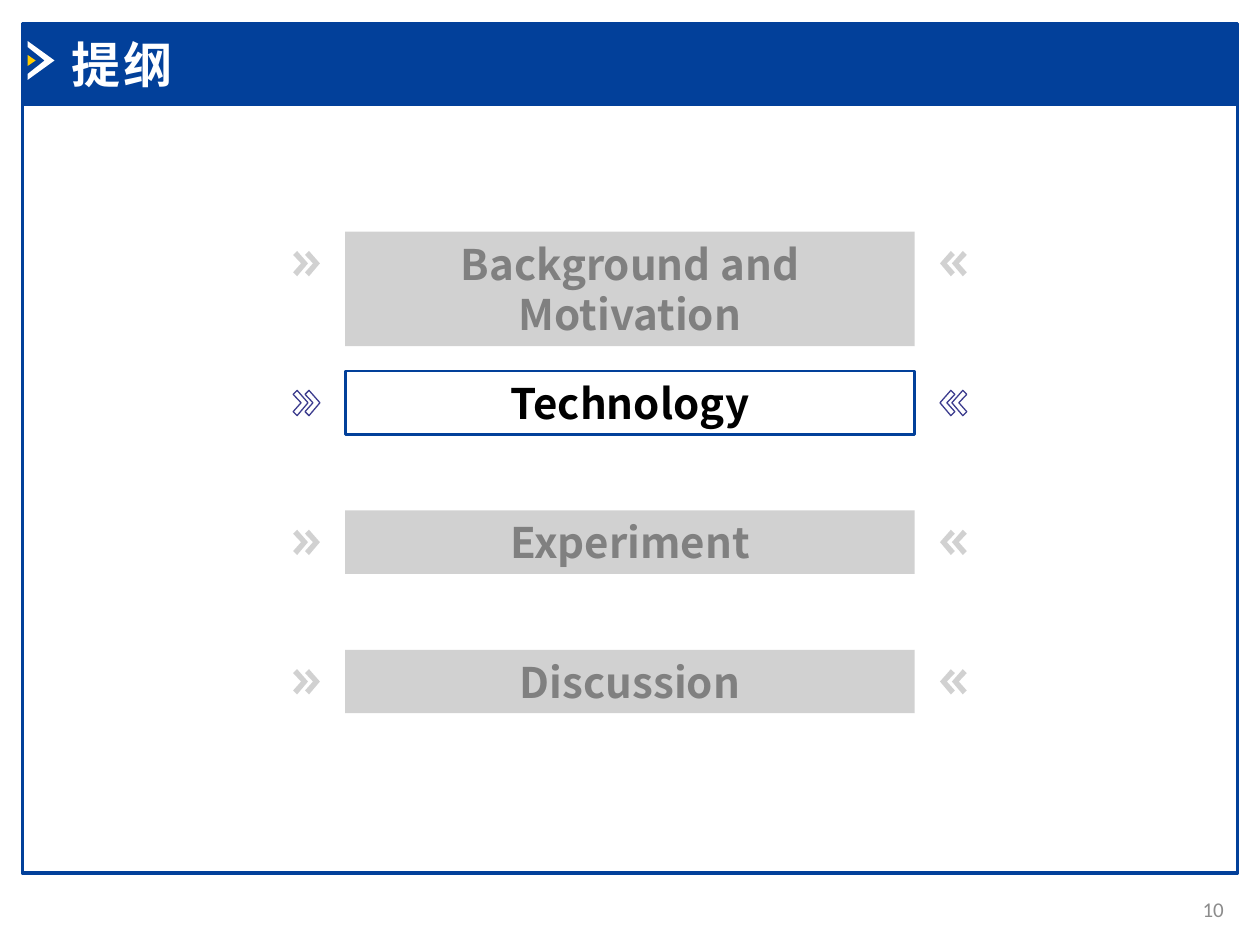
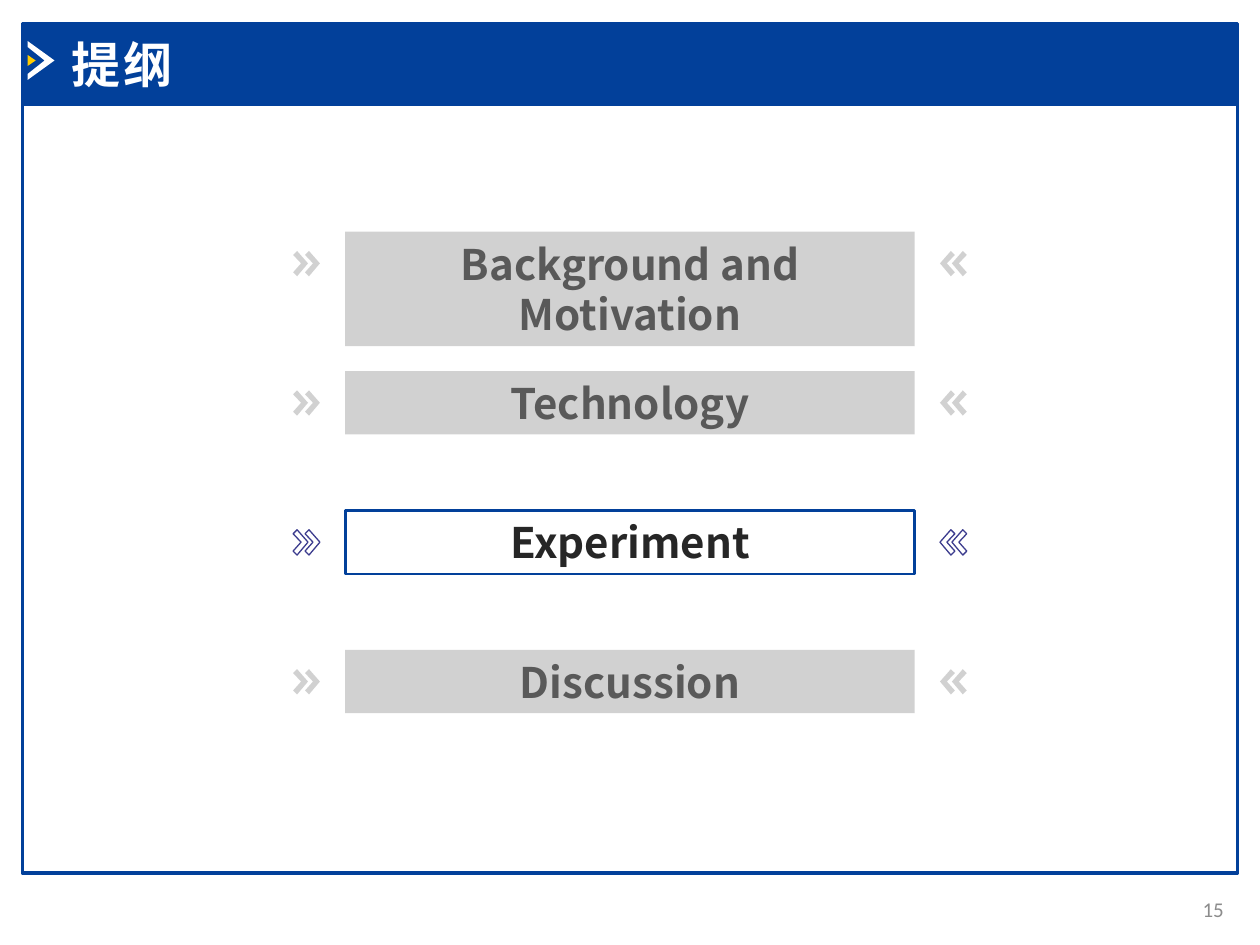
from lxml import etree
from pptx import Presentation
from pptx.dml.color import RGBColor
from pptx.enum.shapes import MSO_SHAPE
from pptx.enum.text import MSO_ANCHOR, PP_ALIGN
from pptx.oxml.ns import qn
from pptx.util import Cm, Pt

RECT = MSO_SHAPE.RECTANGLE
TOP, MIDDLE = MSO_ANCHOR.TOP, MSO_ANCHOR.MIDDLE
LEFT, CENTER, RIGHT = PP_ALIGN.LEFT, PP_ALIGN.CENTER, PP_ALIGN.RIGHT

# Content
TITLE = "提纲"
TOPICS = ["Background and Motivation", "Technology", "Experiment", "Discussion"]
PAGES = [
    {"number": "10", "current": "Technology", "strong": "black", "muted": "mid_gray"},
    {"number": "15", "current": "Experiment", "strong": "ink", "muted": "dark_gray"},
]

# Style
COLORS = {
    "blue": "02409A", "violet": "3C3C8E", "white": "FFFFFF", "yellow": "FFCC00",
    "gray": "A5A5A5", "number": "8C8C8C", "black": "000000", "ink": "262626",
    "mid_gray": "808080", "dark_gray": "595959",
}
BODY_FONT, LATIN_FONT = "Noto Sans CJK SC", "Calibri"

# Layout in centimetres
PAGE_W, PAGE_H = 25.4, 19.05
FRAME_X, FRAME_W = 0.45, 24.5
HEADER_Y, HEADER_H, FRAME_H = 0.47, 1.64, 15.49
TOPIC_W, TOPIC_H, TALL_TOPIC_H = 11.48, 1.28, 2.31
TOPIC_X = (PAGE_W - TOPIC_W) / 2
FIRST_TOPIC_Y, TOPIC_STEP = 4.67, 2.81
CHEVRON_XS, CHEVRON_DROP = (5.91, 6.15), 0.39
CHEVRON = [(0.08, 0), (0, 0.08), (0.16, 0.25), (0, 0.43), (0.08, 0.51), (0.3, 0.25)]
HEADER_ARROW = [(0.56, 0.83), (0.56, 0.95), (0.9, 1.22), (0.56, 1.49), (0.56, 1.61), (1.1, 1.22)]
HEADER_DOT = [(0.56, 1.11), (0.56, 1.33), (0.72, 1.22)]


def color(name):
    return RGBColor.from_string(COLORS[name])


def paint(shape, fill=None, line=None, width=1, opacity=None):
    shape.shadow.inherit = False
    if fill:
        shape.fill.solid()
        shape.fill.fore_color.rgb = color(fill)
        if opacity:
            tint = shape.fill._xPr.find(qn("a:solidFill"))[0]
            etree.SubElement(tint, qn("a:alpha")).set("val", str(opacity * 1000))
    else:
        shape.fill.background()
    if line:
        shape.line.color.rgb = color(line)
        shape.line.width = Pt(width)
    else:
        shape.line.fill.background()


def add_box(page, x, y, w, h, **look):
    box = page.shapes.add_shape(RECT, Cm(x), Cm(y), Cm(w), Cm(h))
    paint(box, **look)
    return box


def add_outline(page, points, **look):
    corners = [(Cm(x), Cm(y)) for x, y in points]
    builder = page.shapes.build_freeform(*corners[0])
    builder.add_line_segments(corners[1:], close=True)
    paint(builder.convert_to_shape(), **look)


def write(box, text, size, ink, font=BODY_FONT, bold=False, align=LEFT,
          anchor=TOP, leading=None, tracking=None):
    frame = box.text_frame
    frame.word_wrap = True
    frame.vertical_anchor = anchor
    para = frame.paragraphs[0]
    para.alignment = align
    if leading:
        para.line_spacing = Pt(leading)
    span = para.add_run()
    span.text = text
    span.font.size = Pt(size)
    span.font.bold = bold
    span.font.name = font
    span.font.color.rgb = color(ink)
    props = span.font._element
    etree.SubElement(props, qn("a:ea")).set("typeface", BODY_FONT)
    if tracking:
        props.set("spc", str(tracking * 100))


def add_text(page, text, x, y, w, h, **style):
    write(page.shapes.add_textbox(Cm(x), Cm(y), Cm(w), Cm(h)), text, **style)


def add_background(page, number):
    # Frame and header band
    add_box(page, FRAME_X, HEADER_Y + HEADER_H, FRAME_W, FRAME_H, line="blue", width=2)
    add_box(page, FRAME_X, HEADER_Y, FRAME_W, HEADER_H, fill="blue", line="blue", width=2)
    add_outline(page, HEADER_ARROW, fill="white")
    add_outline(page, HEADER_DOT, fill="yellow")
    # Title and page number
    add_text(page, TITLE, 1.19, 0.56, 9.04, 1.45, size=28, ink="white",
             font=LATIN_FONT, bold=True, leading=34, tracking=2)
    add_text(page, number, 23.42, 17.81, 1.5, 1.02, size=12, ink="number",
             font=LATIN_FONT, align=RIGHT, anchor=MIDDLE)


def add_topic(page, index, topic, is_current, ink):
    y = FIRST_TOPIC_Y + index * TOPIC_STEP
    height = TALL_TOPIC_H if len(topic) > 20 else TOPIC_H
    faded = {"fill": "gray", "opacity": 50}
    box_look = {"line": "blue", "width": 1.5} if is_current else faded
    arrow_look = {"line": "violet", "width": 0.75} if is_current else faded
    box = add_box(page, TOPIC_X, y, TOPIC_W, height, **box_look)
    write(box, topic, size=24, ink=ink, bold=True, align=CENTER, leading=29)
    # Chevrons on the left, mirrored on the right
    for x in CHEVRON_XS:
        points = [(x + dx, y + CHEVRON_DROP + dy) for dx, dy in CHEVRON]
        add_outline(page, points, **arrow_look)
        add_outline(page, [(PAGE_W - px, py) for px, py in points], **arrow_look)


def main():
    deck = Presentation()
    deck.slide_width, deck.slide_height = Cm(PAGE_W), Cm(PAGE_H)
    for content in PAGES:
        page = deck.slides.add_slide(deck.slide_layouts[6])
        add_background(page, content["number"])
        for index, topic in enumerate(TOPICS):
            is_current = topic == content["current"]
            ink = content["strong" if is_current else "muted"]
            add_topic(page, index, topic, is_current, ink)
    deck.save("out.pptx")


if __name__ == "__main__":
    main()
